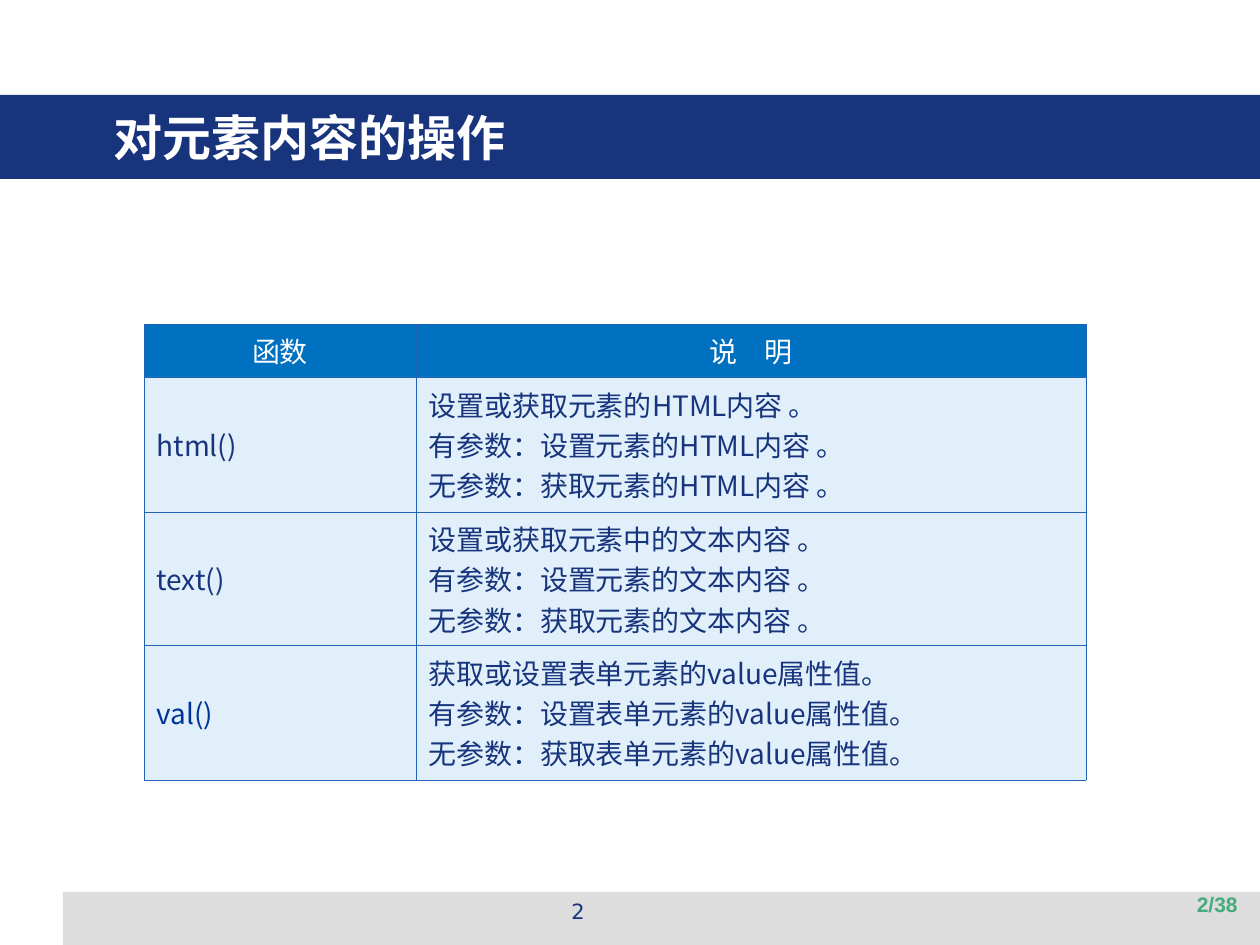
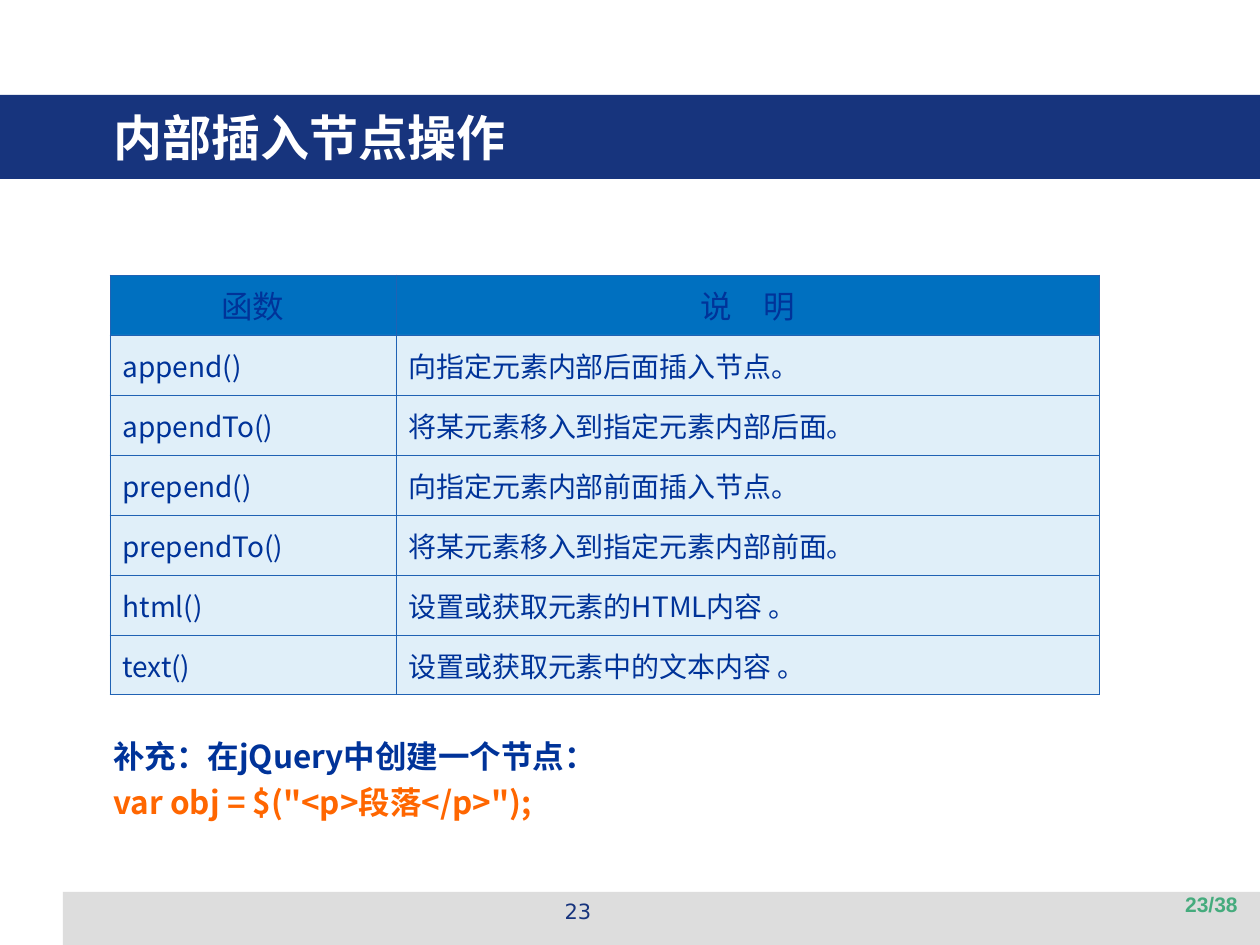
"""Build two slides of jQuery function tables in one shared frame."""
from lxml.etree import SubElement
from pptx import Presentation
from pptx.dml.color import RGBColor
from pptx.enum.shapes import MSO_SHAPE
from pptx.enum.text import MSO_ANCHOR, MSO_AUTO_SIZE, PP_ALIGN
from pptx.oxml import parse_xml
from pptx.oxml.ns import nsdecls, qn
from pptx.util import Emu, Inches, Pt

NAVY = RGBColor(0x17, 0x34, 0x7D)
BLUE = RGBColor(0x00, 0x33, 0x99)
HEAD = RGBColor(0x00, 0x70, 0xC0)
PALE = RGBColor(0xC3, 0xE0, 0xF5)
EDGE = RGBColor(0x20, 0x62, 0xB4)
GRAY = RGBColor(0xDD, 0xDD, 0xDD)
GREEN = RGBColor(0x45, 0xAB, 0x7D)
ORANGE = RGBColor(0xFF, 0x66, 0x00)
WHITE = RGBColor(0xFF, 0xFF, 0xFF)

SANS, ARIAL, DEJA = "Noto Sans CJK SC", "Arial", "DejaVu Sans"
TOTAL = 38
HEADS = ("函数", "说　明")
BARS = [((63, 892, 1197, 53), GRAY), ((0, 95, 1260, 84), NAVY)]
TITLE = (101, 96, 1134, 81)
PAGE = (431, 892, 294, 44)
COUNT = (956, 885, 294, 50)
NOTE = (101, 731, 1060, 136)
HANG = 48

SLIDES = [
    {
        "title": "对元素内容的操作", "page": 2,
        "at": (144, 324), "cols": (272, 670), "rows": (53, 135, 133, 135),
        "head": (16, WHITE), "ink": NAVY, "odd": {"val()": BLUE},
        "body": [
            ("html()", "设置或获取元素的HTML内容 。\n有参数：设置元素的HTML内容 。\n无参数：获取元素的HTML内容 。"),
            ("text()", "设置或获取元素中的文本内容 。\n有参数：设置元素的文本内容 。\n无参数：获取元素的文本内容 。"),
            ("val()", "获取或设置表单元素的value属性值。\n有参数：设置表单元素的value属性值。\n无参数：获取表单元素的value属性值。"),
        ],
        "note": [],
    },
    {
        "title": "内部插入节点操作", "page": 23,
        "at": (110, 275), "cols": (286, 703), "rows": (60,) * 7,
        "head": (18, BLUE), "ink": BLUE, "odd": {},
        "body": [
            ("append()", "向指定元素内部后面插入节点。"),
            ("appendTo()", "将某元素移入到指定元素内部后面。"),
            ("prepend()", "向指定元素内部前面插入节点。"),
            ("prependTo()", "将某元素移入到指定元素内部前面。"),
            ("html()", "设置或获取元素的HTML内容 。"),
            ("text()", "设置或获取元素中的文本内容 。"),
        ],
        "note": [("补充：在jQuery中创建一个节点：", BLUE),
                 ('var obj = $("<p>段落</p>");', ORANGE)],
    },
]


def px(num):
    return Emu(round(num * Inches(1) / 126))


def write(frame, lines, size, bold=False, face=SANS, align=PP_ALIGN.LEFT, gap=0):
    for i, (text, ink) in enumerate(lines):
        para = frame.add_paragraph() if i else frame.paragraphs[0]
        para.alignment = align
        if i and gap:
            para.space_before = Pt(gap)
        run = para.add_run()
        run.text = text
        look = {"size": Pt(size), "bold": bold, "name": face}
        for key, val in look.items():
            setattr(run.font, key, val)
        run.font.color.rgb = ink
        SubElement(run.font._element, qn("a:ea"), typeface=face)


def label(slide, box, lines, size, **look):
    frame = slide.shapes.add_textbox(*map(px, box)).text_frame
    frame.word_wrap = True
    write(frame, lines, size, **look)
    return frame


def paint(cell, color, alpha=None):
    cell.fill.solid()
    cell.fill.fore_color.rgb = color
    props = cell._tc.get_or_add_tcPr()
    if alpha:
        tint = props.find(".//" + qn("a:srgbClr"))
        SubElement(tint, qn("a:alpha"), val=str(alpha * 1000))
    for i, side in enumerate("LRTB"):
        props.insert(i, parse_xml(
            f'<a:ln{side} {nsdecls("a")} w="{Pt(0.45)}"><a:solidFill>'
            f'<a:srgbClr val="{EDGE}"/></a:solidFill></a:ln{side}>'))


def frame_up(slide, data):
    title = slide.shapes.title
    for box, color in BARS:
        bar = slide.shapes.add_shape(MSO_SHAPE.RECTANGLE, *map(px, box))
        bar.shadow.inherit = False
        bar.fill.solid()
        bar.fill.fore_color.rgb = color
        bar.line.fill.background()
        title._element.addprevious(bar._element)
    for key, val in zip(("left", "top", "width", "height"), TITLE):
        setattr(title, key, px(val))
    frame = title.text_frame
    frame.auto_size = MSO_AUTO_SIZE.NONE
    frame.vertical_anchor = MSO_ANCHOR.MIDDLE
    write(frame, [(data["title"], WHITE)], 28, bold=True)
    page = data["page"]
    label(slide, PAGE, [(str(page), NAVY)], 12, face=DEJA, align=PP_ALIGN.CENTER)
    label(slide, COUNT, [(f"{page}/{TOTAL}", GREEN)], 12, bold=True,
          face=ARIAL, align=PP_ALIGN.RIGHT)


def add_grid(slide, data):
    cols, rows = data["cols"], data["rows"]
    box = (*data["at"], sum(cols), sum(rows))
    table = slide.shapes.add_table(len(rows), len(cols), *map(px, box)).table
    table.first_row = table.horz_banding = False
    for col, wide in zip(table.columns, cols):
        col.width = px(wide)
    for row, high in zip(table.rows, rows):
        row.height = px(high)
    for r, texts in enumerate([HEADS, *data["body"]]):
        for c, text in enumerate(texts):
            cell = table.cell(r, c)
            cell.vertical_anchor = MSO_ANCHOR.MIDDLE
            if r == 0:
                size, ink = data["head"]
                paint(cell, HEAD)
                write(cell.text_frame, [(text, ink)], size, align=PP_ALIGN.CENTER)
            else:
                ink = data["odd"].get(text, data["ink"])
                paint(cell, PALE, 50)
                write(cell.text_frame, [(t, ink) for t in text.split("\n")], 16)


def add_note(slide, lines):
    frame = label(slide, NOTE, lines, 18, bold=True, gap=4.5)
    for para in frame.paragraphs:
        props = para._p.get_or_add_pPr()
        props.set("marL", str(px(HANG)))
        props.set("indent", str(-px(HANG)))


def main():
    deck = Presentation()
    deck.slide_width, deck.slide_height = px(1260), px(945)
    for data in SLIDES:
        slide = deck.slides.add_slide(deck.slide_layouts[5])
        frame_up(slide, data)
        add_grid(slide, data)
        if data["note"]:
            add_note(slide, data["note"])
    deck.save("out.pptx")


if __name__ == "__main__":
    main()
